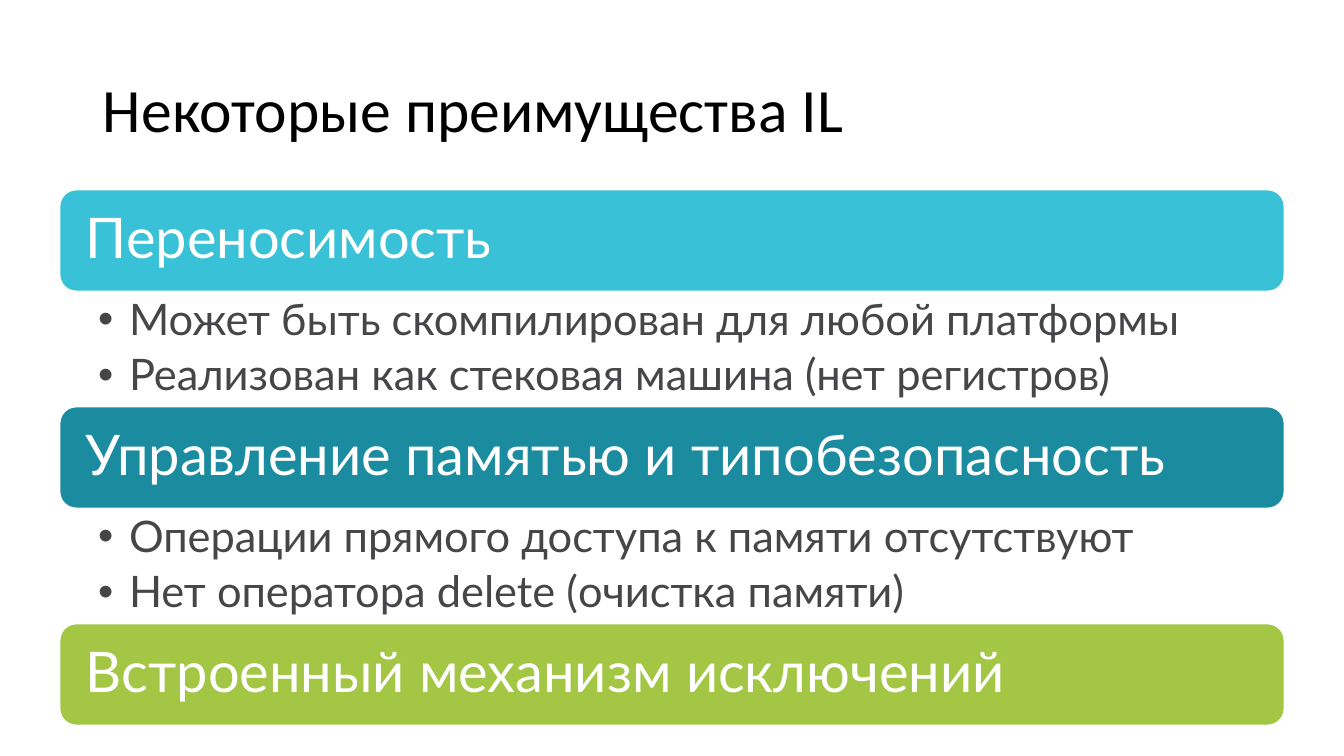
from dataclasses import dataclass

from pptx import Presentation
from pptx import util as u
from pptx.dml.color import RGBColor
from pptx.enum import shapes, text

PX = 914400 / 100.8  # EMU in one px
COLORS = {
    "black": "000000", "white": "FFFFFF", "gray": "464547",
    "cyan": "39C2D7", "teal": "1B8BA0", "green": "A3C644",
}
LEFT, TOP, WIDTH = 59, 189, 1226
BAR_H, LIST_H = 103, 114
INDENT = 31


@dataclass(frozen=True)
class Section:
    heading: str
    color: str
    points: tuple[str, ...] = ()


@dataclass(frozen=True)
class Style:
    font: str
    size: int
    color: str
    after: int = 0


TITLE = Style("Calibri", 44, "black")
HEADING = Style("Lato", 40, "white")
POINT = Style("Lato", 31, "gray", after=6)

SECTIONS = [
    Section("Переносимость", "cyan", (
        "Может быть скомпилирован для любой платформы",
        "Реализован как стековая машина (нет регистров)")),
    Section("Управление памятью и типобезопасность", "teal", (
        "Операции прямого доступа к памяти отсутствуют",
        "Нет оператора delete (очистка памяти)")),
    Section("Встроенный механизм исключений", "green"),
]


def px(n: int) -> u.Emu:
    return u.Emu(round(n * PX))


def rgb(name: str) -> RGBColor:
    return RGBColor.from_string(COLORS[name])


def set_attrs(obj, values: dict) -> None:
    for name, value in values.items():
        setattr(obj, name, value)


def place(sp, left: int, top: int, width: int, height: int) -> None:
    set_attrs(sp, {"left": px(left), "top": px(top),
                   "width": px(width), "height": px(height)})


def write(sp, lines: tuple[str, ...], style: Style, anchor,
          margins: tuple[int, int, int, int]) -> None:
    tf = sp.text_frame
    sides = ("margin_left", "margin_top", "margin_right", "margin_bottom")
    set_attrs(tf, {"word_wrap": True, "auto_size": text.MSO_AUTO_SIZE.NONE,
                   "vertical_anchor": anchor,
                   **{side: px(m) for side, m in zip(sides, margins)}})
    for i, line in enumerate(lines):
        p = tf.add_paragraph() if i else tf.paragraphs[0]
        set_attrs(p, {"alignment": text.PP_ALIGN.LEFT, "line_spacing": 0.9,
                      "space_before": u.Pt(0), "space_after": u.Pt(style.after)})
        r = p.add_run()
        r.text = line
        set_attrs(r.font, {"name": style.font, "size": u.Pt(style.size)})
        r.font.color.rgb = rgb(style.color)


def draw_bar(s, section: Section, top: int) -> None:
    sp = s.shapes.add_shape(shapes.MSO_SHAPE.ROUNDED_RECTANGLE,
                            px(LEFT), px(top), px(WIDTH), px(BAR_H))
    sp.shadow.inherit = False
    sp.fill.solid()
    sp.fill.fore_color.rgb = rgb(section.color)
    sp.line.color.rgb = rgb("white")
    sp.line.width = u.Pt(2)
    write(sp, (section.heading,), HEADING, text.MSO_ANCHOR.MIDDLE, (22, 22, 22, 22))


def fill_list(sp, points: tuple[str, ...], top: int) -> None:
    place(sp, LEFT, top, WIDTH, LIST_H)
    write(sp, points, POINT, text.MSO_ANCHOR.TOP, (39, 6, 31, 6))
    for p in sp.text_frame.paragraphs:
        pPr = p._p.get_or_add_pPr()
        pPr.set("marL", str(px(INDENT)))
        pPr.set("indent", str(-px(INDENT)))


def main() -> None:
    prs = Presentation()
    set_attrs(prs, {"slide_width": px(1344), "slide_height": px(756)})
    s = prs.slides.add_slide(prs.slide_layouts.get_by_name("Two Content"))

    # Title
    title, *bodies = list(s.placeholders)[:3]
    place(title, 93, 40, 1159, 146)
    write(title, ("Некоторые преимущества IL",), TITLE,
          text.MSO_ANCHOR.MIDDLE, (10, 5, 10, 5))

    # Coloured headings, each with its list below
    free_bodies = iter(bodies)
    for i, section in enumerate(SECTIONS):
        top = TOP + i * (BAR_H + LIST_H)
        draw_bar(s, section, top)
        if section.points:
            fill_list(next(free_bodies), section.points, top + BAR_H)

    prs.save("out.pptx")


if __name__ == "__main__":
    main()
